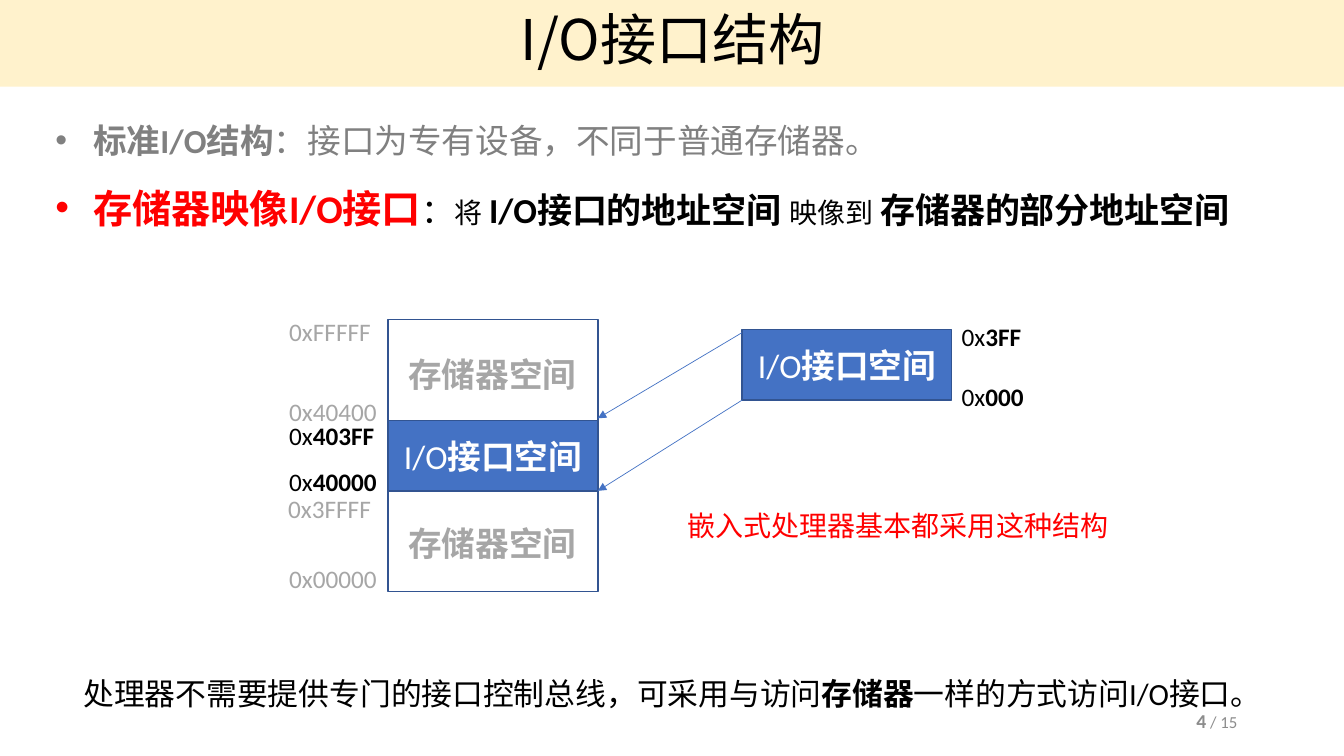
from lxml import etree
from pptx import Presentation
from pptx.dml.color import RGBColor
from pptx.enum.shapes import MSO_CONNECTOR, MSO_SHAPE
from pptx.enum.text import MSO_ANCHOR, MSO_AUTO_SIZE, PP_ALIGN
from pptx.oxml.ns import qn
from pptx.util import Inches, Pt

RECT = MSO_SHAPE.RECTANGLE
LINE = MSO_CONNECTOR.STRAIGHT
MIDDLE = MSO_ANCHOR.MIDDLE
FIT, FIXED = MSO_AUTO_SIZE.SHAPE_TO_FIT_TEXT, MSO_AUTO_SIZE.NONE
LEFT, CENTER, RIGHT = PP_ALIGN.LEFT, PP_ALIGN.CENTER, PP_ALIGN.RIGHT
BLACK = RGBColor(0x00, 0x00, 0x00)
WHITE = RGBColor(0xFF, 0xFF, 0xFF)
RED = RGBColor(0xFF, 0x00, 0x00)
CREAM = RGBColor(0xFF, 0xF2, 0xCC)
BLUE = RGBColor(0x44, 0x72, 0xC4)
NAVY = RGBColor(0x32, 0x54, 0x91)
GRAY = RGBColor(0x80, 0x80, 0x80)
PALE = RGBColor(0xA6, 0xA6, 0xA6)
DIM = RGBColor(0x8C, 0x8C, 0x8C)
LATIN, HAN = "Calibri", "Noto Sans CJK SC"

TITLE = "I/O接口结构"
POINTS = [
    (GRAY, 24, [("标准I/O结构", True), ("：接口为专有设备，不同于普通存储器。", False)]),
    (BLACK, 25, [
        ("存储器映像I/O接口", True, 28, RED),
        ("：", False, 24),
        ("将 ", False, 20),
        ("I/O", True),
        ("接口的地址空间 ", True, None, None, HAN),
        ("映像到 ", False, 20),
        ("存储器的部分地址空间", True, None, None, HAN),
    ]),
]
IO = [("I/O", False), ("接口空间", True)]
MEMORY = [("存储器空间", True)]
BLOCKS = [(1, MEMORY, 0.29), (0.7, IO, None), (1, MEMORY, 0.27)]
LABELS = [
    (2.77, 3.09, "0xFFFFF", "", PALE),
    (2.77, 3.88, "0x40400", "", PALE),
    (2.77, 4.12, "0x", "403FF", BLACK),
    (2.77, 4.58, "0x", "40000", BLACK),
    (2.76, 4.84, "0x3FFFF", "", PALE),
    (2.77, 5.54, "0x00000", "", PALE),
    (9.44, 3.14, "0x", "3FF", BLACK),
    (9.44, 3.73, "0x", "000", BLACK),
]
NOTE = "嵌入式处理器基本都采用这种结构"
SUMMARY = [
    ("处理器不需要提供专门的接口控制总线，可采用与访问", False),
    ("存储器", True),
    ("一样的方式访问I/O接口。", False),
]
PAGE = [("4", True, 14), (" / 15 ", False)]
MAP_X, MAP_Y, WIDE = 3.85, 3.17, 2.08
PORT_X, PORT_Y, PORT_H = 7.36, 3.27, 0.7
ARROWS = [(3.3, 4.15), (3.97, 4.87)]


def write(para, runs, size, color, font=LATIN, align=LEFT, space=1):
    """Fill a paragraph with (text, bold, size, colour, font) runs."""
    para.alignment, para.line_spacing = align, space
    para.space_before = para.space_after = Pt(0)
    para.font.size, para.font.name = Pt(size), font
    para.font.color.rgb = color
    for text, bold, *extra in runs:
        own_size, own_color, own_font = (extra + [None] * 3)[:3]
        run = para.add_run()
        run.text, run.font.bold = text, bold
        if own_size:
            run.font.size = Pt(own_size)
        if own_color:
            run.font.color.rgb = own_color
        if own_font:
            run.font.name = own_font


def place(shape, x, y, w, h):
    """Move and size a shape in inches."""
    shape.left, shape.top = Inches(x), Inches(y)
    shape.width, shape.height = Inches(w), Inches(h)


def label(slide, box, runs, size, color, wrap=False, fit=FIT, **style):
    """Add a text box and return its frame."""
    frame = slide.shapes.add_textbox(*map(Inches, box)).text_frame
    frame.word_wrap, frame.auto_size = wrap, fit
    write(frame.paragraphs[0], runs, size, color, **style)
    return frame


def block(slide, x, y, h, runs=None):
    """Add an address block, filled when it holds text."""
    shape = slide.shapes.add_shape(RECT, *map(Inches, (x, y, WIDE, h)))
    shape.shadow.inherit = False
    shape.line.color.rgb, shape.line.width = NAVY, Pt(1)
    if runs:
        shape.fill.solid()
        shape.fill.fore_color.rgb = BLUE
        shape.text_frame.vertical_anchor = MIDDLE
        write(shape.text_frame.paragraphs[0], runs, 24, WHITE, align=CENTER)
    else:
        shape.fill.background()


def arrow(slide, start, end):
    """Add a thin arrow from start to end."""
    link = slide.shapes.add_connector(LINE, *map(Inches, start + end))
    link.line.color.rgb, link.line.width = BLUE, Pt(0.5)
    props = link.element.spPr
    tip = etree.SubElement(props.find(qn("a:ln")), qn("a:tailEnd"))
    tip.set("type", "triangle")
    etree.SubElement(props, qn("a:effectLst"))


def main():
    """Build and save the slide."""
    deck = Presentation()
    deck.slide_width, deck.slide_height = Inches(13.33), Inches(7.5)
    slide = deck.slides.add_slide(deck.slide_layouts[1])

    title, body = slide.shapes.title, slide.placeholders[1]
    place(title, 0, -0.01, 13.34, 0.87)
    title.fill.solid()
    title.fill.fore_color.rgb = CREAM
    title.text_frame.auto_size = FIXED
    title.text_frame.vertical_anchor = MIDDLE
    write(title.text_frame.paragraphs[0], [(TITLE, False)], 40, BLACK, HAN, CENTER, 0.9)

    place(body, 0.45, 0.94, 12.77, 1.34)
    frame = body.text_frame
    frame.auto_size = FIXED
    for i, (color, size, runs) in enumerate(POINTS):
        para = frame.add_paragraph() if i else frame.paragraphs[0]
        write(para, runs, size, color, space=1.5)

    y = MAP_Y
    for h, runs, drop in BLOCKS:
        if drop is None:
            block(slide, MAP_X, y, h, runs)
        else:
            block(slide, MAP_X, y, h)
            label(slide, (MAP_X + 0.1, y + drop, 1.88, 0.5), runs, 24, PALE)
        y += h

    block(slide, PORT_X, PORT_Y, PORT_H, IO)
    for top, low in ARROWS:
        arrow(slide, (PORT_X, top), (MAP_X + WIDE, low))

    for x, y, head, tail, color in LABELS:
        runs = [(head, False)] + ([(tail, True)] if tail else [])
        wide = 1.12 if x < MAP_X else 0.86
        label(slide, (x, y, wide, 0.4), runs, 18, color)

    label(slide, (6.72, 5, 4.41, 0.44), [(NOTE, False)], 20, RED, font=HAN)
    label(slide, (0.73, 6.53, 11.87, 0.54), SUMMARY, 22, BLACK, wrap=True, space=1.3)
    page = label(slide, (10.94, 6.95, 1.47, 0.4), PAGE, 12, DIM, wrap=True, fit=FIXED, align=RIGHT)
    page.vertical_anchor = MIDDLE
    deck.save("out.pptx")


if __name__ == "__main__":
    main()
